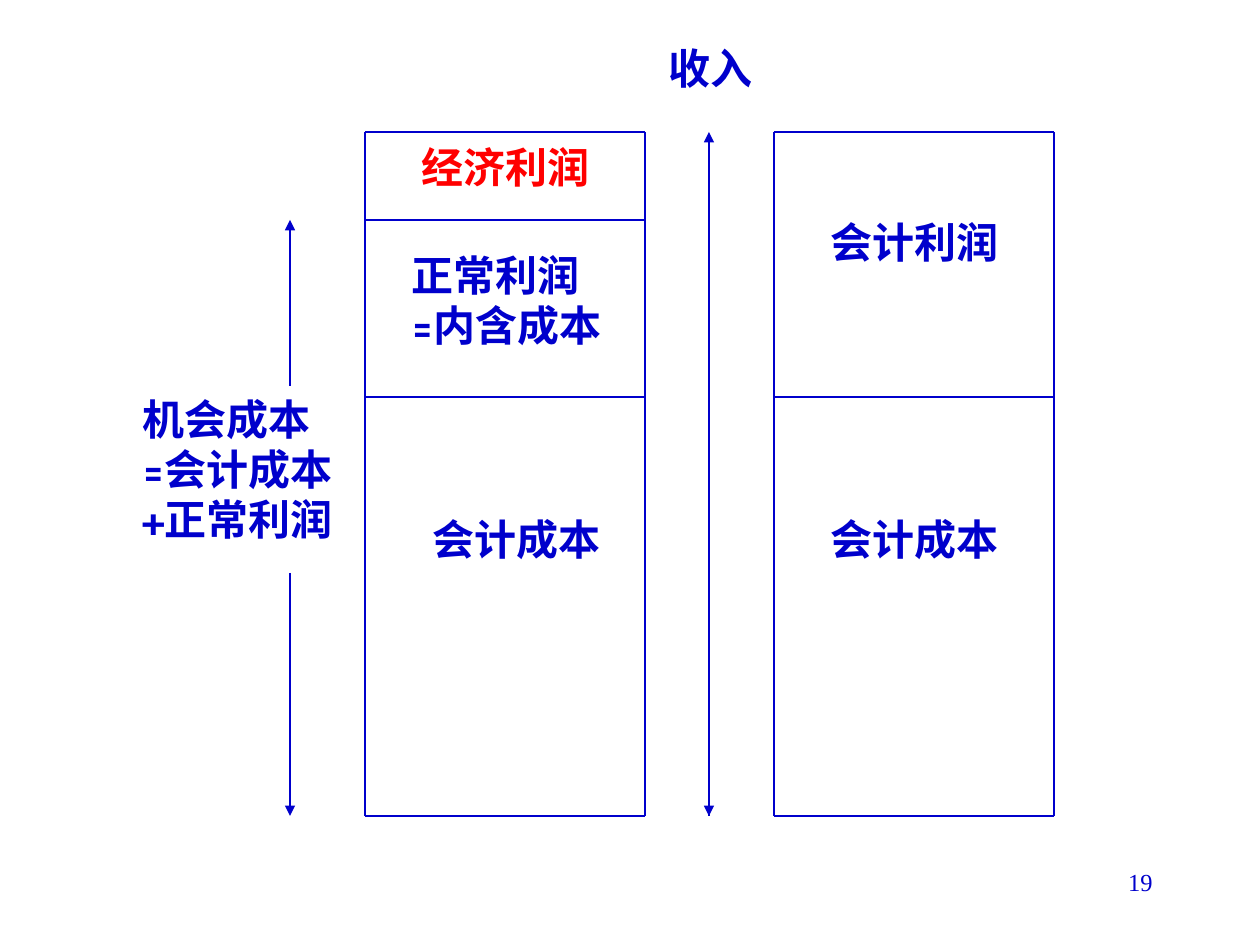
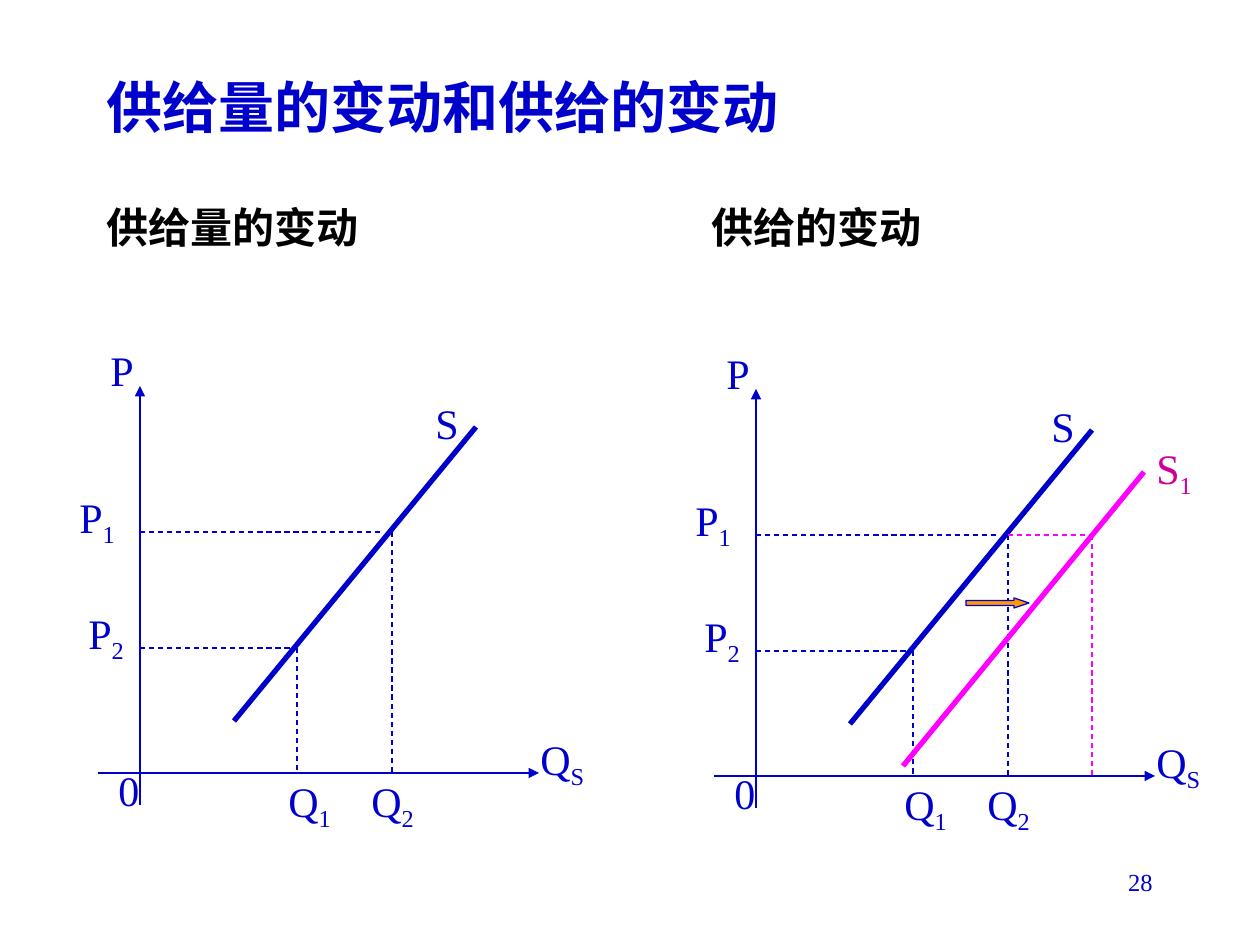
from lxml import etree
from pptx import Presentation
from pptx.dml.color import RGBColor
from pptx.enum.dml import MSO_LINE_DASH_STYLE as DASH
from pptx.enum.shapes import MSO_CONNECTOR as CONNECTOR, MSO_SHAPE as SHAPE
from pptx.enum.text import MSO_ANCHOR as ANCHOR, MSO_AUTO_SIZE as AUTO_SIZE, PP_ALIGN as ALIGN
from pptx.oxml.ns import qn
from pptx.util import Emu, Pt

BLUE = RGBColor(0x00, 0x00, 0xCC)
RED = RGBColor(0xFF, 0x00, 0x00)
BLACK = RGBColor(0x00, 0x00, 0x00)
WHITE = RGBColor(0xFF, 0xFF, 0xFF)
MAGENTA = RGBColor(0xFF, 0x00, 0xFF)
PLUM = RGBColor(0xCC, 0x00, 0x99)
ORANGE = RGBColor(0xFF, 0x99, 0x00)

SANS = "Karla"
SERIF = "Times New Roman"
CHINESE = "Noto Sans CJK SC"
PX_PER_INCH = 126
TWO_CONTENT, BLANK = 3, 6


def px(length):
    return Emu(round(length * 914400 / PX_PER_INCH))


def format_run(run, font_name, size, color, bold=False):
    font = run.font
    font.name, font.size, font.bold = font_name, Pt(size), bold
    font.color.rgb = color
    east_asian = etree.SubElement(run._r.get_or_add_rPr(), qn("a:ea"))
    east_asian.set("typeface", CHINESE)


def add_text(slide, text, box, font_name=SERIF, size=24, color=BLUE, bold=False,
             wrap=True, align=ALIGN.LEFT):
    """Add a text box; an underscore starts a subscript."""
    text_frame = slide.shapes.add_textbox(*map(px, box)).text_frame
    main, _, subscript = text.partition("_")
    text_frame.text = main
    text_frame.word_wrap = wrap
    if subscript:
        run = text_frame.paragraphs[0].add_run()
        run.text = subscript
        run._r.get_or_add_rPr().set("baseline", "-25000")
    for paragraph in text_frame.paragraphs:
        paragraph.alignment = align
        for run in paragraph.runs:
            format_run(run, font_name, size, color, bold)


def add_line(slide, start, end, color=BLUE, width=0.75, dashed=False, arrow=False):
    connector = slide.shapes.add_connector(
        CONNECTOR.STRAIGHT, *map(px, (*start, *end)))
    connector.line.color.rgb = color
    connector.line.width = Pt(width)
    if dashed:
        connector.line.dash_style = DASH.DASH
    if arrow:
        tail = etree.SubElement(connector.line._get_or_add_ln(), qn("a:tailEnd"))
        tail.set("type", "triangle")
    etree.SubElement(connector._element.spPr, qn("a:effectLst"))


def add_page_number(slide, number):
    add_text(slide, str(number), (903, 861, 262, 63), size=14, align=ALIGN.RIGHT)


def fill_placeholder(placeholder, text, box, size, color):
    placeholder.left, placeholder.top, placeholder.width, placeholder.height = map(px, box)
    text_frame = placeholder.text_frame
    text_frame.text = text
    text_frame.word_wrap = True
    text_frame.auto_size = AUTO_SIZE.NONE
    text_frame.vertical_anchor = ANCHOR.TOP
    paragraph = text_frame.paragraphs[0]
    properties = paragraph._p.get_or_add_pPr()
    properties.set("marL", "0")
    properties.set("indent", "0")
    etree.SubElement(properties, qn("a:buNone"))
    paragraph.alignment = ALIGN.LEFT
    paragraph.space_before = Pt(0)
    format_run(paragraph.runs[0], SERIF, size, color, bold=True)


def add_bar(slide, box, dividers):
    """Outline a bar and split it at the given distances from its top."""
    left, top, width, height = box
    right, bottom = left + width, top + height
    for x in (left, right):
        add_line(slide, (x, top), (x, bottom))
    for y in (0, *dividers, height):
        add_line(slide, (left, top + y), (right, top + y))


def build_profit_slide(presentation):
    slide = presentation.slides.add_slide(presentation.slide_layouts[BLANK])
    top, bottom = 132, 816
    bar_width, height = 280, bottom - top
    economic_profit, accounting_profit = 88, 265
    add_bar(slide, (365, top, bar_width, height), (economic_profit, accounting_profit))
    add_bar(slide, (774, top, bar_width, height), (accounting_profit,))

    cost_x, income_x = 290, 709
    for start, end in (
        ((cost_x, 573), (cost_x, bottom)),
        ((cost_x, 386), (cost_x, top + economic_profit)),
        ((income_x, bottom), (income_x, top)),
        ((income_x, 639), (income_x, bottom)),
    ):
        add_line(slide, start, end, arrow=True)

    for text, box, color, wrap in (
        ("收入", (656, 36, 121, 63), BLUE, True),
        ("经济利润", (409, 135, 217, 63), RED, True),
        ("正常利润\n=内含成本", (399, 243, 228, 113), BLUE, False),
        ("会计成本", (420, 507, 207, 63), BLUE, True),
        ("会计利润", (818, 210, 194, 63), BLUE, False),
        ("会计成本", (818, 507, 194, 63), BLUE, False),
        ("机会成本\n=会计成本\n+正常利润", (130, 387, 228, 164), BLUE, False),
    ):
        add_text(slide, text, box, SANS, color=color, bold=True, wrap=wrap)
    add_page_number(slide, 19)


# Distances from the left and top of a supply graph
AXIS_X, AXIS_Y = 73, 435
Q1_X, Q2_X, Q3_X = 230, 325, 409
P1_Y, P2_Y = 194, 310
LABEL_HEIGHT, SUBSCRIPT_LABEL = 63, (73, 71)


def add_supply_graph(slide, left, top):
    def point(x, y):
        return left + x, top + y

    add_line(slide, point(AXIS_X, 467), point(AXIS_X, 48), arrow=True)
    add_line(slide, point(31, AXIS_Y), point(472, AXIS_Y), arrow=True)
    for text, x, y, width in (("S", 356, 53, 53), ("P", 31, 0, 42), ("0", 39, 420, 48)):
        add_text(slide, text, (*point(x, y), width, LABEL_HEIGHT))
    for text, x, y in (
        ("Q_S", 461, 389),
        ("P_1", 0, 147),
        ("P_2", 9, 263),
        ("Q_1", 209, 431),
        ("Q_2", 292, 431),
    ):
        add_text(slide, text, (*point(x, y), *SUBSCRIPT_LABEL))
    add_line(slide, point(167, 383), point(409, 89), width=3)
    for x, y, level_end in ((Q2_X, P1_Y, Q2_X - 10), (Q1_X, P2_Y, Q1_X)):
        add_line(slide, point(AXIS_X, y), point(level_end, y), dashed=True)
        add_line(slide, point(x, y), point(x, AXIS_Y), dashed=True)


def add_supply_shift(slide, left, top):
    """Add the shifted curve S1 to the graph at the same place."""
    def point(x, y):
        return left + x, top + y

    add_line(slide, point(461, 131), point(220, 425), MAGENTA, width=3)
    corner = point(Q3_X, P1_Y)
    add_line(slide, point(Q2_X, P1_Y), corner, MAGENTA, dashed=True)
    add_line(slide, corner, point(Q3_X, AXIS_Y), MAGENTA, dashed=True)
    add_text(slide, "S_1", (*point(461, 95), *SUBSCRIPT_LABEL), color=PLUM)

    arrow = slide.shapes.add_shape(
        SHAPE.RIGHT_ARROW, *map(px, (*point(283, 257), 63, 10)))
    arrow.adjustments[0], arrow.adjustments[1] = 0.5, 1.5
    arrow.shadow.inherit = False
    arrow.fill.solid()
    arrow.fill.fore_color.rgb = ORANGE
    arrow.line.color.rgb = BLUE
    arrow.line.width = Pt(0.75)


def build_supply_slide(presentation):
    slide = presentation.slides.add_slide(presentation.slide_layouts[TWO_CONTENT])
    title, *headings = list(slide.placeholders)[:3]
    fill_placeholder(title, "供给量的变动和供给的变动", (94, 66, 1071, 94), 32, BLUE)
    for heading, text, left in zip(headings, ("供给量的变动", "供给的变动"), (94, 699)):
        fill_placeholder(heading, text, (left, 195, 451, 79), 24, BLACK)
        heading.fill.solid()
        heading.fill.fore_color.rgb = WHITE
    add_supply_graph(slide, 67, 338)
    add_supply_graph(slide, 683, 341)
    add_supply_shift(slide, 683, 341)
    add_page_number(slide, 28)


def main():
    presentation = Presentation()
    presentation.slide_width = px(10 * PX_PER_INCH)
    presentation.slide_height = px(7.5 * PX_PER_INCH)
    build_profit_slide(presentation)
    build_supply_slide(presentation)
    presentation.save("out.pptx")


if __name__ == "__main__":
    main()
